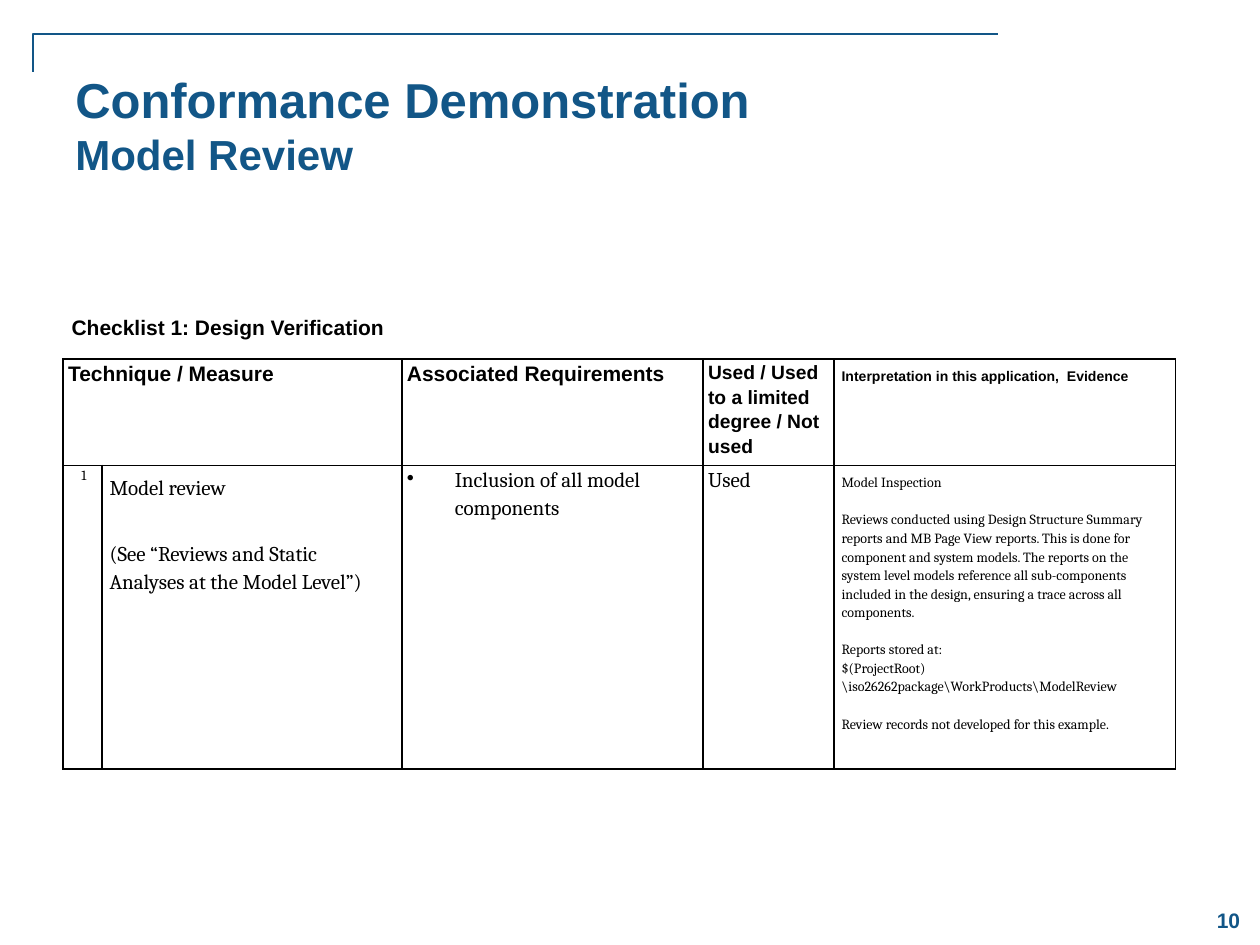
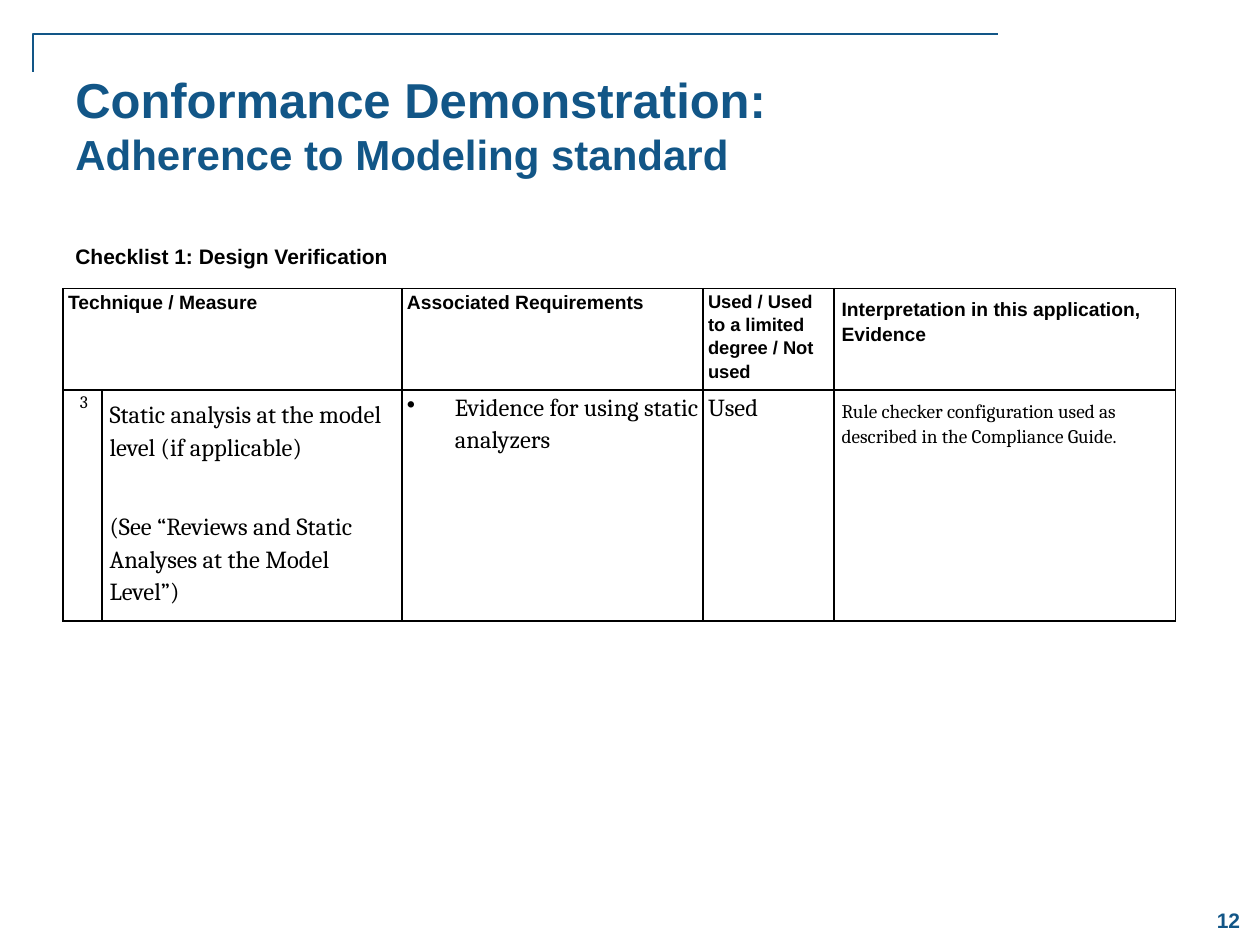
from dataclasses import dataclass

from lxml.etree import SubElement
from pptx import Presentation
from pptx.dml.color import RGBColor
from pptx.enum.shapes import MSO_CONNECTOR
from pptx.enum.text import MSO_ANCHOR as Anchor, PP_ALIGN as Align
from pptx.oxml.ns import qn
from pptx.slide import Slide
from pptx.table import _Cell as Cell
from pptx.text.text import TextFrame
from pptx.util import Inches, Pt

BLUE = RGBColor(0x12, 0x56, 0x87)
BLACK = RGBColor(0, 0, 0)
HEAD_FONT = "Arial"
BODY_FONT = "Cambria"

TABLE_LEFT = 0.5
TABLE_WIDTH = 8.83
COLUMN_WIDTHS = (0.31, 2.38, 2.39, 1.04, 2.71)
TIGHT = (0.04, 0, 0.02, 0)
ROOMY = (0.06, 0.06, 0.06, 0.06)
CELL_INSETS = (TIGHT, ROOMY, TIGHT, TIGHT, ROOMY)
HEADINGS = (
    "Technique / Measure",
    "",
    "Associated Requirements",
    "Used / Used to a limited degree / Not used",
    "Interpretation in this application,  Evidence",
)


@dataclass(frozen=True)
class Line:
    """A paragraph and the gap above it in points."""
    text: str
    before: float = 0


@dataclass(frozen=True)
class ChecklistPage:
    title: str
    subtitle: str
    page_number: str
    caption_left: float
    caption_top: float
    table_top: float
    row_heights: tuple[float, float]
    heading_sizes: tuple[float, ...]
    body_sizes: tuple[float, ...]
    item_number: str
    technique: tuple[Line, ...]
    requirement: str
    evidence: tuple[Line, ...]


PAGES = (
    ChecklistPage(
        "Conformance Demonstration", "Model Review", "10",
        caption_left=0.47, caption_top=2.35,
        table_top=2.85, row_heights=(0.46, 2.41),
        heading_sizes=(12, 12, 12, 11, 8),
        body_sizes=(8, 12, 12, 12, 8),
        item_number="1",
        technique=(
            Line("Model review"),
            Line("(See “Reviews and Static Analyses at the Model Level”)", 22),
        ),
        requirement="Inclusion of all model components",
        evidence=(
            Line("Model Inspection"),
            Line("Reviews conducted using Design Structure Summary reports "
                 "and MB Page View reports. This is done for component and "
                 "system models. The reports on the system level models "
                 "reference all sub-components included in the design, "
                 "ensuring a trace across all components.", 10.6),
            Line("Reports stored at:", 10.6),
            Line(r"$(ProjectRoot)\iso26262package\WorkProducts\ModelReview"),
            Line("Review records not developed for this example.", 10.6),
        ),
    ),
    ChecklistPage(
        "Conformance Demonstration:", "Adherence to Modeling standard", "12",
        caption_left=0.5, caption_top=1.78,
        table_top=2.29, row_heights=(0.46, 0.95),
        heading_sizes=(11, 11, 11, 10.5, 11),
        body_sizes=(10, 14, 14, 14, 11),
        item_number="3",
        technique=(
            Line("Static analysis at the model level (if applicable)"),
            Line("(See “Reviews and Static Analyses at the Model Level”)", 27),
        ),
        requirement="Evidence for using static analyzers",
        evidence=(
            Line("Rule checker configuration used as described in "
                 "the Compliance Guide."),
        ),
    ),
)


def write(frame: TextFrame, text: str, *, size: float, font: str = HEAD_FONT,
          color: RGBColor = BLACK, bold: bool = True,
          align: Align = Align.LEFT, spacing: float = 1,
          before: float = 0, after: float = 0, bullet: bool = False) -> None:
    """Add a formatted paragraph, filling the empty first one if possible."""
    para = frame.paragraphs[0]
    if para.runs:
        para = frame.add_paragraph()
    para.alignment = align
    para.line_spacing = spacing
    para.space_before, para.space_after = Pt(before), Pt(after)
    span = para.add_run()
    span.text = text
    span.font.name, span.font.size, span.font.bold = font, Pt(size), bold
    span.font.color.rgb = color
    if bullet:
        properties = para._p.get_or_add_pPr()
        properties.set("marL", str(Inches(0.38)))
        properties.set("indent", str(-Inches(0.38)))
        SubElement(properties, qn("a:buChar"), char="•")


def add_text_frame(page: Slide, left: float, top: float, width: float,
                   height: float, anchor: Anchor = Anchor.MIDDLE) -> TextFrame:
    box = page.shapes.add_textbox(Inches(left), Inches(top),
                                  Inches(width), Inches(height))
    frame = box.text_frame
    frame.word_wrap = True
    frame.vertical_anchor = anchor
    return frame


def add_corner_line(page: Slide) -> None:
    line = page.shapes.add_connector(MSO_CONNECTOR.ELBOW, Inches(7.92),
                                     Inches(0.27), Inches(0.26), Inches(0.57))
    line.line.color.rgb = BLUE
    line.line.width = Pt(1)
    properties = line._element.spPr
    SubElement(properties, qn("a:effectLst"))
    # Bend at the far end
    guides = properties.find(qn("a:prstGeom")).get_or_add_avLst()
    SubElement(guides, qn("a:gd"), name="adj1", fmla="val 100000")


def add_frame(page: Slide, content: ChecklistPage) -> None:
    """Draw the corner line, page number and title that every page has."""
    add_corner_line(page)
    write(add_text_frame(page, 9.5, 7.09, 0.5, 0.42), content.page_number,
          size=12, color=BLUE, align=Align.CENTER)
    title = add_text_frame(page, 0.5, 0.5, 8.83, 1.08, Anchor.TOP)
    write(title, content.title, size=28, color=BLUE)
    write(title, content.subtitle, size=24, color=BLUE)


def style_cell(cell: Cell, insets: tuple[float, ...]) -> None:
    (cell.margin_left, cell.margin_top,
     cell.margin_right, cell.margin_bottom) = map(Inches, insets)
    cell.vertical_anchor = Anchor.TOP
    properties = cell._tc.get_or_add_tcPr()
    for side in ("a:lnL", "a:lnR", "a:lnT", "a:lnB"):
        border = SubElement(properties, qn(side), w=str(Pt(1)))
        fill = SubElement(border, qn("a:solidFill"))
        SubElement(fill, qn("a:srgbClr"), val=str(BLACK))
    cell.fill.background()


def add_checklist(page: Slide, content: ChecklistPage) -> None:
    table = page.shapes.add_table(
        2, len(COLUMN_WIDTHS), Inches(TABLE_LEFT), Inches(content.table_top),
        Inches(TABLE_WIDTH), Inches(sum(content.row_heights))).table
    table.first_row = table.horz_banding = False
    for column, width in zip(table.columns, COLUMN_WIDTHS):
        column.width = Inches(width)
    for row, height in zip(table.rows, content.row_heights):
        row.height = Inches(height)
    table.cell(0, 0).merge(table.cell(0, 1))

    # Heading row
    for column, heading in enumerate(HEADINGS):
        cell = table.cell(0, column)
        style_cell(cell, TIGHT if column < 4 else ROOMY)
        if heading:
            write(cell.text_frame, heading, spacing=1.15,
                  size=content.heading_sizes[column])

    # Checklist item
    item = ((Line(content.item_number),), content.technique,
            (Line(content.requirement),), (Line("Used"),), content.evidence)
    for column, lines in enumerate(item):
        cell = table.cell(1, column)
        style_cell(cell, CELL_INSETS[column])
        is_requirement = column == 2
        for line in lines:
            write(cell.text_frame, line.text, size=content.body_sizes[column],
                  font=BODY_FONT, bold=False, spacing=1.15,
                  align=Align.CENTER if column == 0 else Align.LEFT,
                  before=line.before, after=6 if is_requirement else 0,
                  bullet=is_requirement)


def main() -> None:
    deck = Presentation()
    deck.slide_width, deck.slide_height = Inches(10), Inches(7.5)
    for content in PAGES:
        page = deck.slides.add_slide(deck.slide_layouts[6])
        add_frame(page, content)
        add_checklist(page, content)
        caption = add_text_frame(page, content.caption_left,
                                 content.caption_top, TABLE_WIDTH, 0.5)
        write(caption, "Checklist 1: Design Verification", size=12)
    deck.save("out.pptx")


if __name__ == "__main__":
    main()
